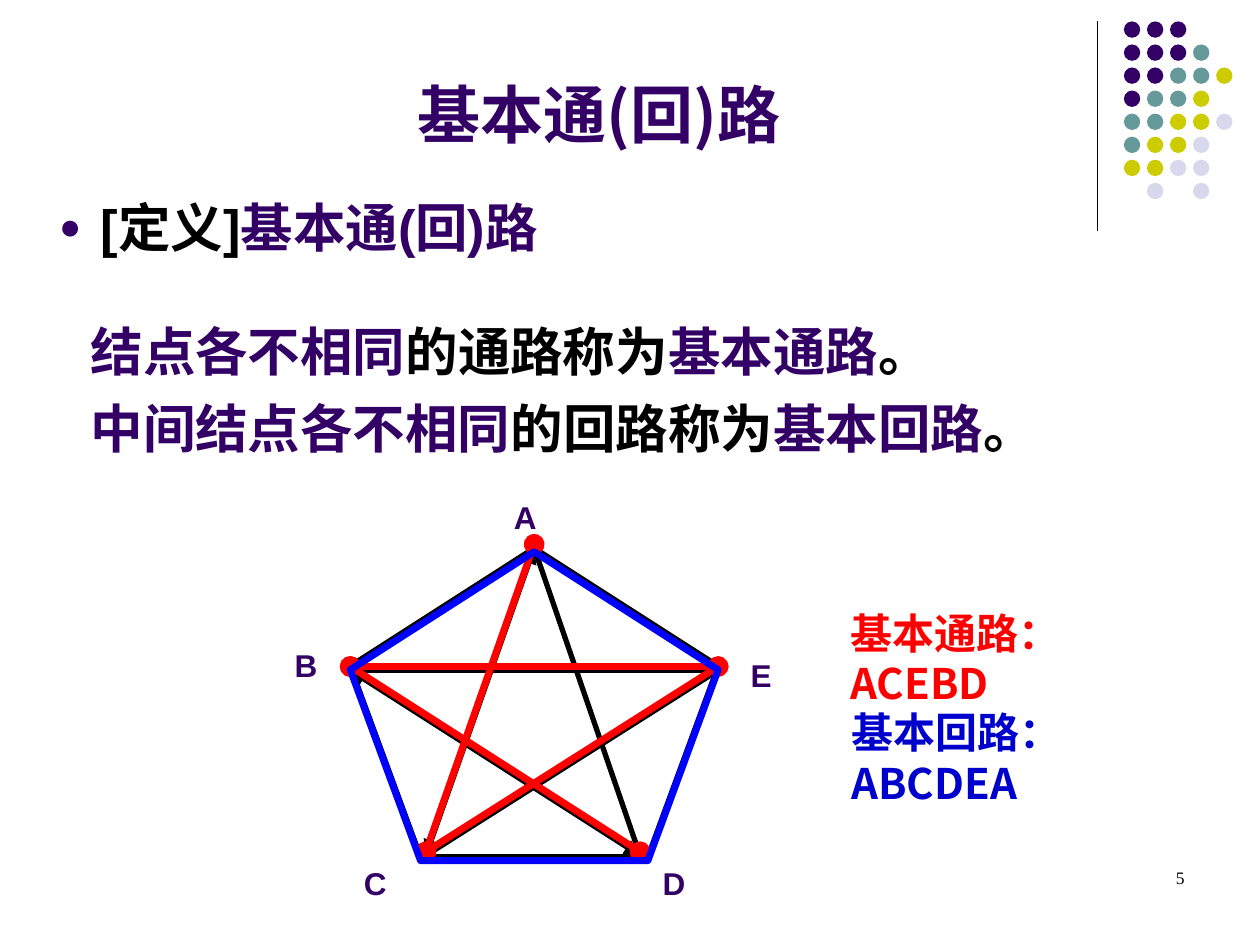
import pptx
import pptx.dml.color
import pptx.enum.shapes
import pptx.enum.text
import pptx.oxml
import pptx.oxml.ns
import pptx.util
from pptx.util import Inches

SHAPE = pptx.enum.shapes.MSO_SHAPE
ALIGN = pptx.enum.text.PP_ALIGN
ANCHOR = pptx.enum.text.MSO_ANCHOR
CJK = "Noto Sans CJK SC"
PURPLE, BLACK, RED, BLUE = "330066", "000000", "FF0000", "0000FF"
TINTS = {"p": PURPLE, "t": "669999", "y": "CCCC00", "l": "D8D8EC"}
DOTS = ["ppp", "pppt", "pptty", "ptty", "ttyyl", "tyyl", "yyll", " l l"]
NODES = {"A": (4.24, 4.35), "B": (2.78, 5.32), "C": (3.38, 6.79),
         "D": (5.08, 6.79), "E": (5.7, 5.32)}
LABELS = {"A": (3.98, 3.9), "B": (2.24, 5.08), "C": (2.79, 6.81),
          "D": (5.16, 6.81), "E": (5.86, 5.16)}


def color(code):
    return pptx.dml.color.RGBColor.from_string(code)


def add_xml(parent, tag, **attrs):
    node = pptx.oxml.parse_xml(f"<a:{tag} {pptx.oxml.ns.nsdecls('a')}/>")
    for key, value in attrs.items():
        node.set(key, value)
    parent.append(node)
    return node


def style(run, size, code, face=CJK, bold=True):
    font = run.font
    font.size, font.bold, font.name = pptx.util.Pt(size), bold, face
    font.color.rgb = color(code)
    add_xml(font._element, "ea", typeface=CJK)


def add_box(slide, x, y, w, h):
    frame = slide.shapes.add_textbox(*map(Inches, (x, y, w, h))).text_frame
    frame.word_wrap = True
    return frame


def add_text(slide, text, place, size, code, face=CJK, bold=True,
             align=ALIGN.LEFT):
    frame = add_box(slide, *place)
    frame.text = text
    para = frame.paragraphs[0]
    para.alignment = align
    style(para.runs[0], size, code, face, bold)
    return frame


def add_line(slide, start, end, code, width, tip=None):
    """Draw a straight line, with the given tip at both ends."""
    line = slide.shapes.add_connector(
        pptx.enum.shapes.MSO_CONNECTOR.STRAIGHT, *map(Inches, start + end))
    line.line.color.rgb = color(code)
    line.line.width = pptx.util.Pt(width)
    if tip:
        for side in ("headEnd", "tailEnd"):
            add_xml(line.line._get_or_add_ln(), side, type=tip)
    add_xml(line._element.spPr, "effectLst")


def add_edges(slide, edges, code, width, rise=0):
    for pair, tip in edges.items():
        start, end = [(NODES[n][0], NODES[n][1] - rise) for n in pair]
        add_line(slide, start, end, code, width, tip)


def add_ring(slide, top, code, width):
    ring = slide.shapes.add_shape(
        SHAPE.REGULAR_PENTAGON, *map(Inches, (2.78, top, 2.92, 2.45)))
    ring.shadow.inherit = False
    ring.fill.background()
    ring.line.color.rgb = color(code)
    ring.line.width = pptx.util.Pt(width)


def add_dots(slide):
    for row, marks in enumerate(DOTS):
        for col, mark in enumerate(marks):
            if mark == " ":
                continue
            x, y = 8.92 + col * 0.183, 0.17 + row * 0.183
            dot = slide.shapes.add_shape(
                SHAPE.OVAL, *map(Inches, (x, y, 0.13, 0.13)))
            dot.shadow.inherit = False
            dot.fill.solid()
            dot.fill.fore_color.rgb = color(TINTS[mark])
            dot.line.fill.background()


def add_bullet(para):
    props = para._p.get_or_add_pPr()
    props.set("marL", str(Inches(0.45)))
    props.set("indent", str(Inches(-0.33)))
    add_xml(add_xml(props, "buClr"), "srgbClr", val=PURPLE)
    add_xml(props, "buSzPct", val="70000")
    add_xml(props, "buFont", typeface="Arial")
    add_xml(props, "buChar", char="●")


def add_body(slide):
    lines = [
        (0, [("[定义]", BLACK), ("基本通(回)路", PURPLE)]),
        (35, [("结点各不相同", PURPLE), ("的通路称为", BLACK),
              ("基本通路", PURPLE), ("。", BLACK)]),
        (7.5, [("中间结点各不相同", PURPLE), ("的回路称为", BLACK),
               ("基本回路", PURPLE), ("。", BLACK)]),
    ]
    frame = add_box(slide, 0.25, 1.5, 9.58, 2.53)
    for index, (gap, parts) in enumerate(lines):
        para = frame.add_paragraph() if index else frame.paragraphs[0]
        para.space_before = pptx.util.Pt(gap)
        if index:
            para._p.get_or_add_pPr().set("marL", str(Inches(0.37)))
        else:
            add_bullet(para)
        for text, code in parts:
            run = para.add_run()
            run.text = text
            style(run, 30, code, "Arial")


def add_graph(slide):
    add_ring(slide, 4.35, BLACK, 3)
    add_edges(slide, {"AC": "triangle", "AD": None, "BE": "triangle",
                      "BD": "triangle", "EC": None}, BLACK, 3)
    add_edges(slide, {"AC": "oval", "BE": "oval", "BD": "oval", "EC": None},
              RED, 4, 0.03)
    add_ring(slide, 4.38, BLUE, 4)
    for name, (x, y) in LABELS.items():
        add_text(slide, name, (x, y, 0.38, 0.4), 18, PURPLE, "Arial")


def main():
    deck = pptx.Presentation()
    deck.slide_width, deck.slide_height = Inches(10), Inches(7.5)
    slide = deck.slides.add_slide(deck.slide_layouts[6])
    add_line(slide, (8.71, 0.17), (8.71, 1.83), BLACK, 0.75)
    add_dots(slide)
    title = add_text(slide, "基本通(回)路", (0.17, 0.42, 9.17, 0.83), 36,
                     PURPLE, align=ALIGN.CENTER)
    title.vertical_anchor = ANCHOR.BOTTOM
    add_body(slide)
    add_graph(slide)
    add_text(slide, "基本通路：ACEBD", (6.65, 4.77, 2.78, 0.5), 24, RED)
    add_text(slide, "基本回路：ABCDEA", (6.66, 5.56, 2.94, 0.5), 24, "0000CC")
    add_text(slide, "5", (7.17, 6.83, 2.33, 0.5), 10, BLACK,
             "Times New Roman", False, ALIGN.RIGHT)
    deck.save("out.pptx")


if __name__ == "__main__":
    main()
